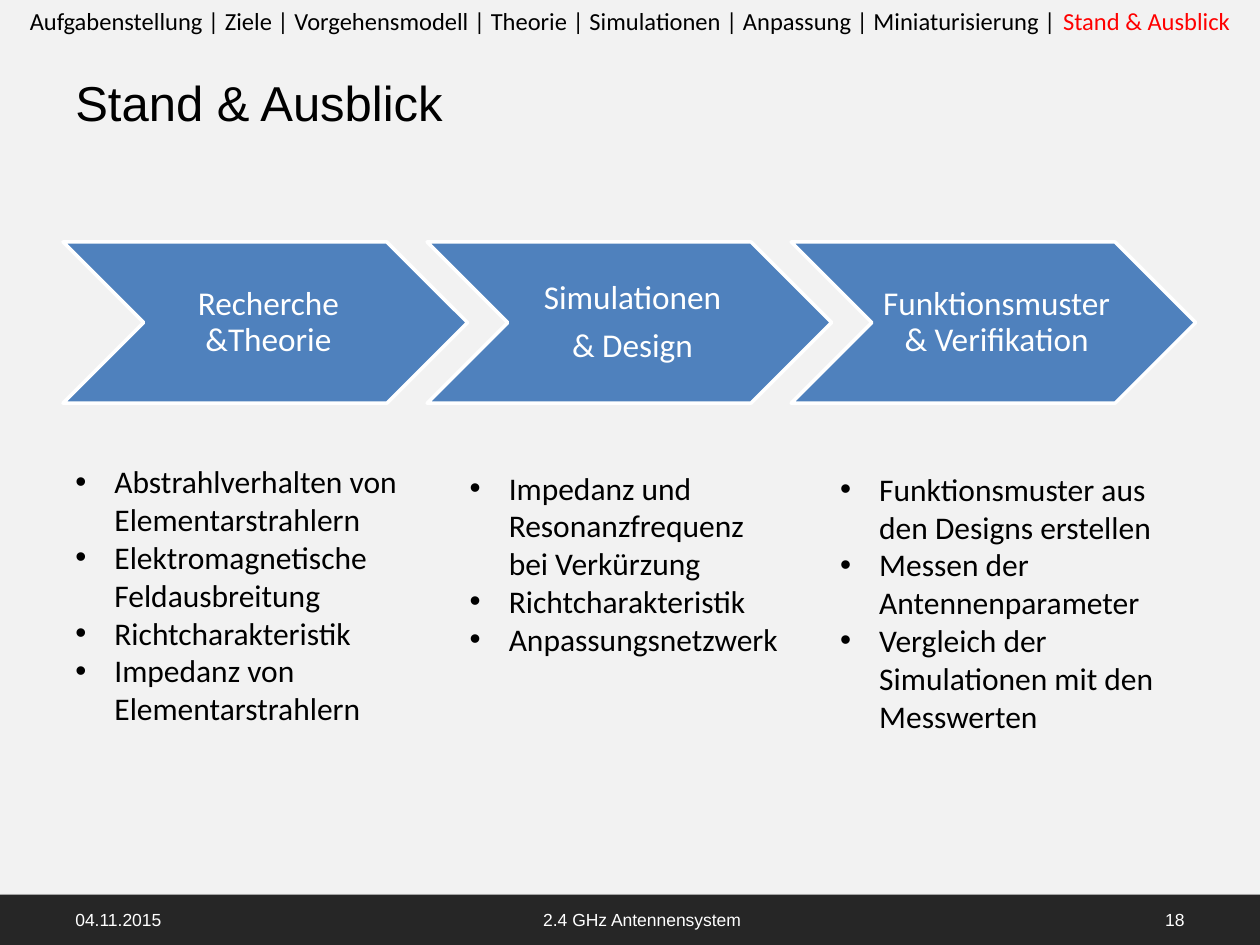
from lxml import etree
from pptx import Presentation
from pptx.dml.color import RGBColor
from pptx.enum.shapes import MSO_SHAPE
from pptx.enum.text import MSO_ANCHOR, PP_ALIGN
from pptx.oxml import parse_xml
from pptx.oxml.ns import nsdecls, qn
from pptx.util import Inches, Pt

COLS, ROWS = 100, 75  # grid of square cells
CELL = Inches(0.1)
BLACK, WHITE, RED = "000000", "FFFFFF", "FF0000"

STEPS = [
    ["Recherche &Theorie"],
    ["Simulationen", "& Design"],
    ["Funktionsmuster & Verifikation"],
]
# Left, top and height of each list, then its points
LISTS = [
    (5, 36.2, 22.2, ["Abstrahlverhalten von Elementarstrahlern",
                     "Elektromagnetische Feldausbreitung",
                     "Richtcharakteristik",
                     "Impedanz von Elementarstrahlern"]),
    (36.3, 36.7, 19.2, ["Impedanz und Resonanzfrequenz\nbei Verkürzung",
                        "Richtcharakteristik",
                        "Anpassungsnetzwerk"]),
    (65.7, 36.8, 22.2, ["Funktionsmuster aus den Designs erstellen",
                        "Messen der Antennenparameter",
                        "Vergleich der Simulationen mit den Messwerten"]),
]
TOPICS = ["Aufgabenstellung", "Ziele", "Vorgehensmodell", "Theorie",
          "Simulationen", "Anpassung", "Miniaturisierung"]


def color(code):
    return RGBColor.from_string(code)


def cells(box):
    return [round(n * CELL) for n in box]


def add_run(para, text, size, tint=BLACK, font="Calibri"):
    for i, part in enumerate(text.split("\n")):
        if i:
            para.add_line_break()
        run = para.add_run()
        run.text = part
        run.font.size = Pt(size)
        run.font.name = font
        run.font.color.rgb = color(tint)


def add_text(shapes, box, anchor=MSO_ANCHOR.TOP):
    frame = shapes.add_textbox(*cells(box)).text_frame
    frame.word_wrap = True
    frame.vertical_anchor = anchor
    return frame


def add_paras(frame, count):
    return [frame.paragraphs[0]] + [frame.add_paragraph() for _ in range(count - 1)]


def add_shape(shapes, kind, box, fill):
    shape = shapes.add_shape(kind, *cells(box))
    shape.shadow.inherit = False
    shape.fill.solid()
    shape.fill.fore_color.rgb = color(fill)
    shape.line.fill.background()
    return shape


def add_header(shapes, box):
    para = add_text(shapes, box).paragraphs[0]
    para.alignment = PP_ALIGN.CENTER
    add_run(para, " | ".join(TOPICS) + " | ", 14)
    add_run(para, "Stand & Ausblick", 14, RED)


def add_title(shapes, box):
    frame = add_text(shapes, box, MSO_ANCHOR.MIDDLE)
    add_run(frame.paragraphs[0], "Stand & Ausblick", 28, font="Arial")


def add_steps(shapes, box):
    left, top, wide, high = box
    group = shapes.add_group_shape().shapes
    # Each chevron overlaps the next by a tenth of its width
    size = wide / (1 + 0.9 * (len(STEPS) - 1))
    for i, lines in enumerate(STEPS):
        x = left + 0.9 * size * i
        arrow = add_shape(group, MSO_SHAPE.CHEVRON, (x, top, size, high), "4F81BD")
        arrow.line.color.rgb = color(WHITE)
        arrow.line.width = Pt(2)
        # The label sits between notch and tip
        label = (x + high / 2, top, size - high, high)
        frame = add_text(group, label, MSO_ANCHOR.MIDDLE)
        frame.margin_left = Inches(0.08)
        frame.margin_right = frame.margin_top = frame.margin_bottom = Inches(0.03)
        for para, line in zip(add_paras(frame, len(lines)), lines):
            para.alignment = PP_ALIGN.CENTER
            para.line_spacing = 0.9
            para.space_after = Pt(7)
            add_run(para, line, 19, WHITE)


def add_list(shapes, box, points):
    frame = add_text(shapes, box)
    for para, point in zip(add_paras(frame, len(points)), points):
        add_run(para, point, 18)
        # Bullet with hanging indent
        props = para._p.get_or_add_pPr()
        props.set("marL", str(Inches(0.31)))
        props.set("indent", str(-Inches(0.31)))
        etree.SubElement(props, qn("a:buFont")).set("typeface", "Arial")
        etree.SubElement(props, qn("a:buChar")).set("char", "•")


def add_footer(shapes, box):
    left, top, wide, high = box
    bar = add_shape(shapes, MSO_SHAPE.RECTANGLE, box, "262626")
    # Soft shadow below the bar
    bar._element.spPr.find(qn("a:effectLst")).append(parse_xml(
        f'<a:outerShdw {nsdecls("a")} blurRad="{Pt(3.1)}" dist="{Pt(1.8)}" '
        'dir="5400000" rotWithShape="0"><a:srgbClr val="000000">'
        '<a:alpha val="35000"/></a:srgbClr></a:outerShdw>'))
    fields = [
        (5, 23.3, PP_ALIGN.LEFT, "04.11.2015"),
        (34.2, 33.5, PP_ALIGN.CENTER, "2.4 GHz Antennensystem"),
        (71.7, 23.3, PP_ALIGN.RIGHT, "18"),
    ]
    for x, width, align, text in fields:
        frame = add_text(shapes, (left + x, top, width, high), MSO_ANCHOR.MIDDLE)
        frame.paragraphs[0].alignment = align
        add_run(frame.paragraphs[0], text, 10, WHITE, "Arial")


def main():
    deck = Presentation()
    deck.slide_width, deck.slide_height = COLS * CELL, ROWS * CELL
    slide = deck.slides.add_slide(deck.slide_layouts[6])
    slide.background.fill.solid()
    slide.background.fill.fore_color.rgb = color("F2F2F2")
    shapes = slide.shapes
    add_footer(shapes, (0, 71, COLS, 4))
    add_title(shapes, (5, 5.2, 90, 5.8))
    add_steps(shapes, (5, 19.2, 89.9, 12.8))
    for left, top, high, points in LISTS:
        add_list(shapes, (left, top, 27.6, high), points)
    add_header(shapes, (0, 0, COLS, 3.4))
    deck.save("out.pptx")


if __name__ == "__main__":
    main()
